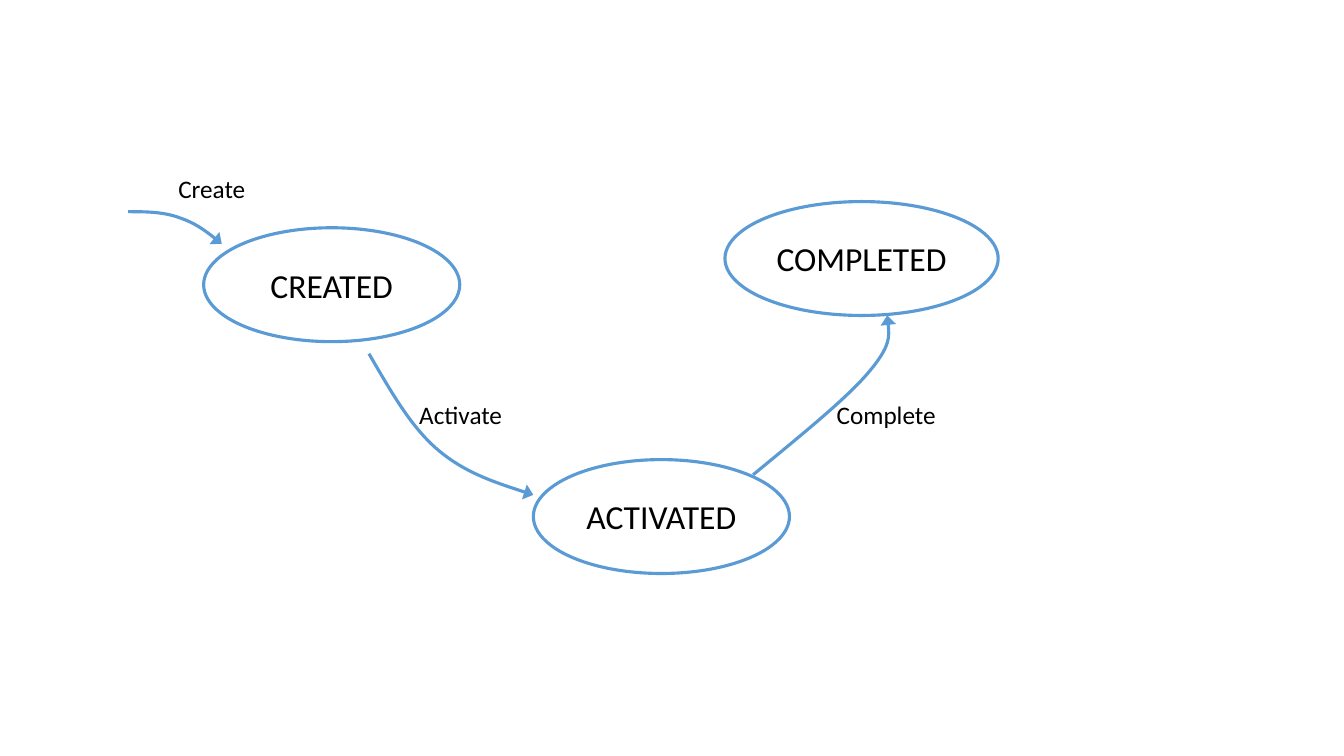
import dataclasses

import lxml.etree
import pptx
import pptx.dml.color
import pptx.enum.shapes
import pptx.enum.text
import pptx.oxml.ns
import pptx.util

Inches = pptx.util.Inches


@dataclasses.dataclass(frozen=True)
class Theme:
    font: str = "Calibri"
    state_size: int = 24
    label_size: int = 18
    line_width: float = 2.25
    text: str = "000000"
    accent: str = "5B9BD5"
    surface: str = "FFFFFF"


THEME = Theme()
STATE_HEIGHT = 1.13
LABEL_HEIGHT = 0.4

STATES = [
    ("CREATED", 0.75, 0.26, 2.54),
    ("COMPLETED", 5.92, 0, 2.71),
    ("ACTIVATED", 4.02, 2.56, 2.54),
]
TRANSITIONS = [
    ("Create", (0.4, -0.33, 1.01),
     [(0, 0.1), (0.17, 0.1), (0.35, 0.1), (0.51, 0.16),
      (0.66, 0.21), (0.8, 0.31), (0.93, 0.42)]),
    ("Activate", (2.79, 1.91, 1.23),
     [(2.39, 1.51), (2.6, 1.87), (2.8, 2.23), (3.07, 2.46),
      (3.34, 2.69), (3.68, 2.8), (4.02, 2.91)]),
    ("Complete", (6.93, 1.91, 1.49),
     [(6.2, 2.71), (6.66, 2.33), (7.12, 1.96), (7.34, 1.7),
      (7.57, 1.43), (7.55, 1.28), (7.53, 1.13)]),
]


def color(value):
    return pptx.dml.color.RGBColor.from_string(value)


def style_outline(shape):
    shape.shadow.inherit = False
    shape.line.color.rgb = color(THEME.accent)
    shape.line.width = pptx.util.Pt(THEME.line_width)


def write_text(text_frame, text, size):
    paragraph = text_frame.paragraphs[0]
    paragraph.text = text
    paragraph.font.name = THEME.font
    paragraph.font.size = pptx.util.Pt(size)
    paragraph.font.color.rgb = color(THEME.text)
    return paragraph


def add_state(slide, text, left, top, width):
    shape = slide.shapes.add_shape(
        pptx.enum.shapes.MSO_SHAPE.OVAL,
        Inches(left), Inches(top), Inches(width), Inches(STATE_HEIGHT))
    style_outline(shape)
    shape.fill.solid()
    shape.fill.fore_color.rgb = color(THEME.surface)
    shape.text_frame.vertical_anchor = pptx.enum.text.MSO_ANCHOR.MIDDLE
    paragraph = write_text(shape.text_frame, text, THEME.state_size)
    paragraph.alignment = pptx.enum.text.PP_ALIGN.CENTER


def add_curved_arrow(slide, points):
    vertices = [(Inches(x), Inches(y)) for x, y in points]
    builder = slide.shapes.build_freeform(*vertices[0])
    builder.add_line_segments(vertices[1:], close=False)
    shape = builder.convert_to_shape()
    style_outline(shape)
    shape.fill.background()

    qn = pptx.oxml.ns.qn
    segments = shape.element.xpath(".//a:lnTo")
    outline = segments[0].getparent()
    for start in range(0, len(segments), 3):
        curve = lxml.etree.SubElement(outline, qn("a:cubicBezTo"))
        for segment in segments[start:start + 3]:
            curve.append(segment[0])
            outline.remove(segment)
    line = shape.element.xpath(".//a:ln")[0]
    lxml.etree.SubElement(
        line, qn("a:tailEnd"), type="triangle", w="lg", len="med")


def add_label(slide, text, left, top, width):
    shape = slide.shapes.add_textbox(
        Inches(left), Inches(top), Inches(width), Inches(LABEL_HEIGHT))
    shape.text_frame.word_wrap = True
    shape.text_frame.auto_size = pptx.enum.text.MSO_AUTO_SIZE.SHAPE_TO_FIT_TEXT
    write_text(shape.text_frame, text, THEME.label_size)


def add_state_diagram(slide, left, top):
    for text, x, y, width in STATES:
        add_state(slide, text, left + x, top + y, width)
    for text, (x, y, width), points in TRANSITIONS:
        add_curved_arrow(
            slide, [(left + px, top + py) for px, py in points])
        add_label(slide, text, left + x, top + y, width)


def main():
    presentation = pptx.Presentation()
    presentation.slide_width = Inches(13.33)
    presentation.slide_height = Inches(7.5)
    slide = presentation.slides.add_slide(presentation.slide_layouts[6])
    add_state_diagram(slide, left=1.27, top=2)
    presentation.save("out.pptx")


if __name__ == "__main__":
    main()
